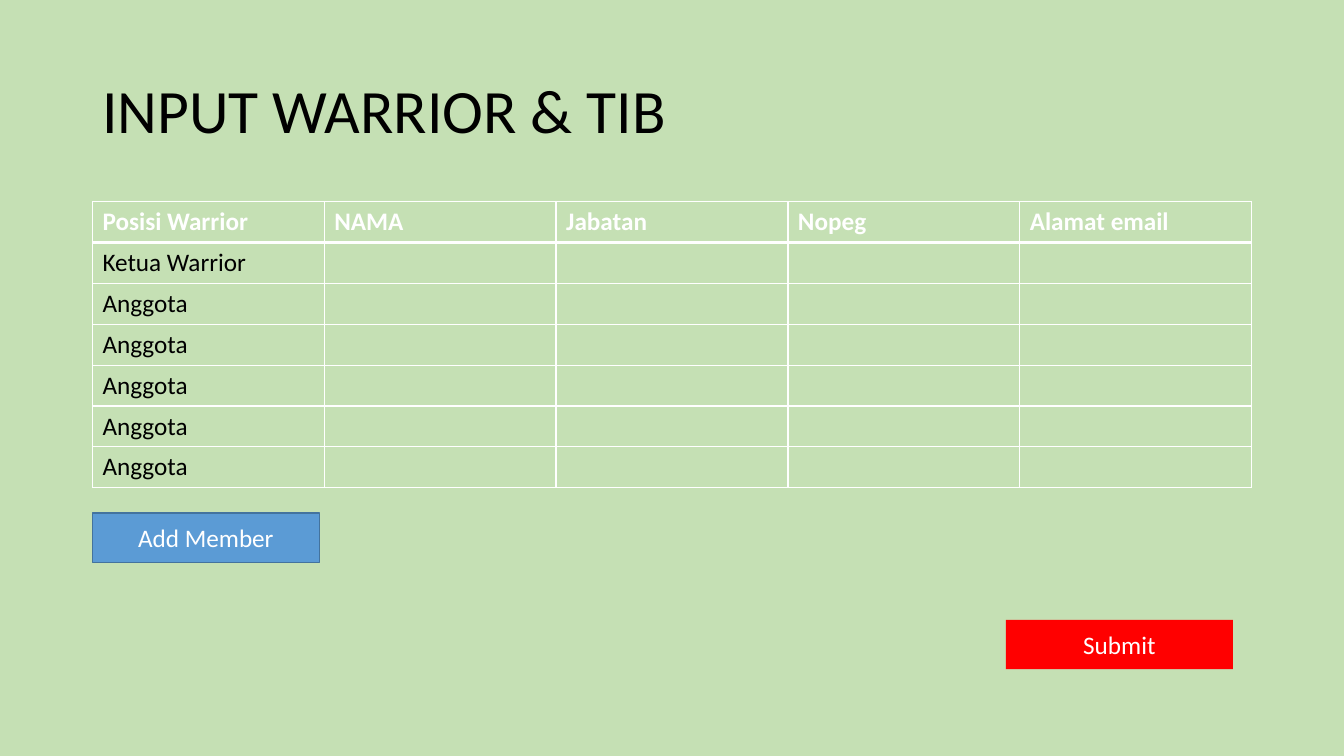
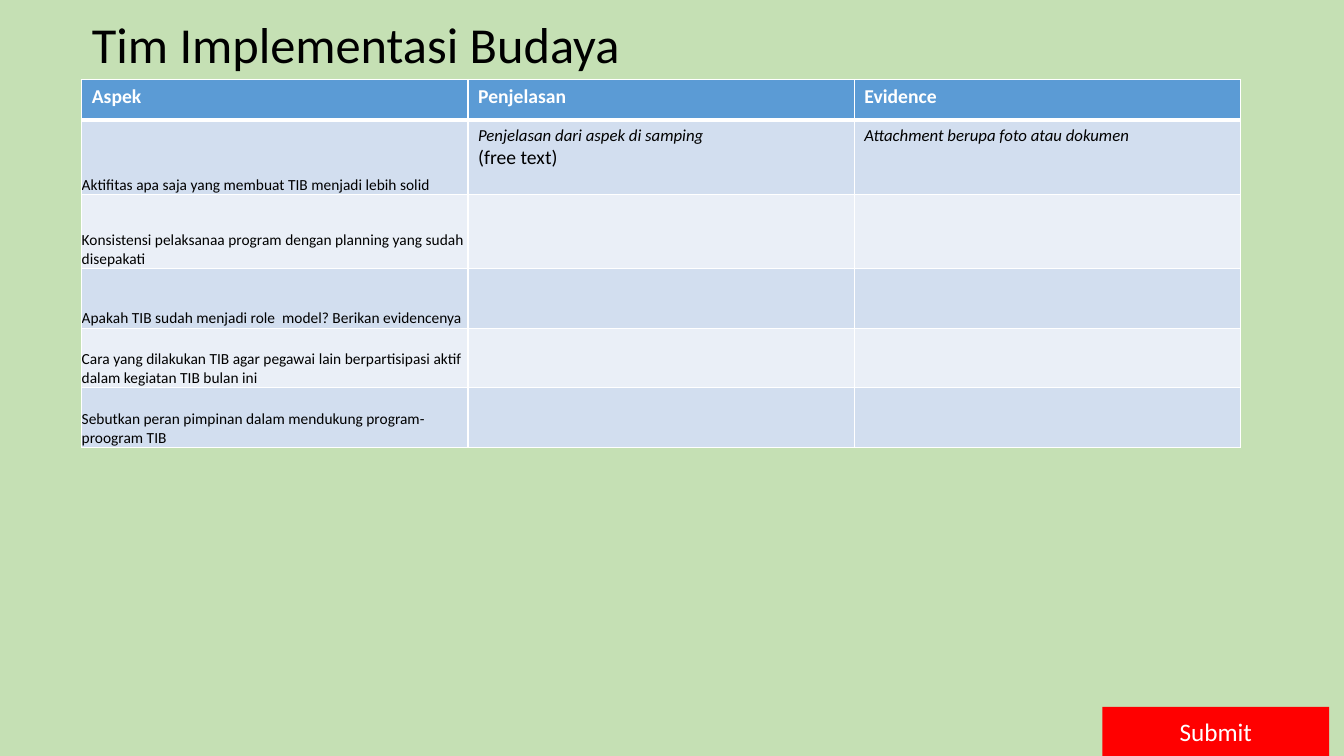
from lxml import etree
from pptx import Presentation
from pptx import util as u
from pptx.dml.color import RGBColor
from pptx.enum import shapes, text
from pptx.oxml.ns import qn

COLORS = {
    "page": "C5E0B4", "blue": "5B9BD5", "outline": "43739E", "red": "FF0000",
    "band_dark": "D2DEEF", "band_light": "EAEFF7", "white": "FFFFFF", "black": "000000",
}
FONT = "Calibri"


def write(para, words, color, **formats):
    span = para.add_run()
    span.text = words
    span.font.name = FONT
    span.font.color.rgb = RGBColor.from_string(COLORS[color])
    for name, value in formats.items():
        setattr(span.font, name, value)


def add_borders(cell, top, bottom):
    for side, points in (("L", 1), ("R", 1), ("T", top), ("B", bottom)):
        line = etree.SubElement(cell._tc.get_or_add_tcPr(), qn(f"a:ln{side}"), w=str(u.Pt(points)))
        fill = etree.SubElement(line, qn("a:solidFill"))
        etree.SubElement(fill, qn("a:srgbClr"), val=COLORS["white"])


aspects = [
    "Aktifitas apa saja yang membuat TIB menjadi lebih solid",
    "Konsistensi pelaksanaa program dengan planning yang sudah disepakati",
    "Apakah TIB sudah menjadi role  model? Berikan evidencenya",
    "Cara yang dilakukan TIB agar pegawai lain berpartisipasi aktif dalam kegiatan TIB bulan ini",
    "Sebutkan peran pimpinan dalam mendukung program-proogram TIB",
]
hint = {"size": u.Pt(12), "italic": True}

pages = [
    {
        "title": "INPUT WARRIOR & TIB", "title_size": 44, "left": 2.33,
        "title_top": 1.01, "title_height": 3.68, "table_top": 5.08,
        "headers": ["Posisi Warrior", "NAMA", "Jabatan", "Nopeg", "Alamat email"],
        "header_size": 18, "header_fill": None, "bands": [None],
        "labels": ["Ketua Warrior"] + ["Anggota"] * 5, "label_size": 18, "flush": False,
        "heights": [1.03] * 7, "hints": {},
        "buttons": [("Add Member", 2.33, 12.93, "blue", "outline"),
                    ("Submit", 25.35, 15.62, "red", None)],
    },
    {
        "title": "Tim Implementasi Budaya", "title_size": 36, "left": 2.06,
        "title_top": 0, "title_height": 2.36, "table_top": 2.0,
        "headers": ["Aspek", "Penjelasan", "Evidence"],
        "header_size": 14, "header_fill": "blue", "bands": ["band_dark", "band_light"],
        "labels": aspects, "label_size": 11, "flush": True,
        "heights": [1.03, 1.87, 1.87, 1.5, 1.5, 1.5],
        "hints": {
            (1, 1): [("Penjelasan dari aspek di samping", hint),
                     ("(free text)", {"size": u.Pt(14)})],
            (1, 2): [("Attachment berupa foto atau dokumen", hint)],
        },
        "buttons": [("Submit", 27.78, 17.81, "red", None)],
    },
]

deck = Presentation()
deck.slide_width, deck.slide_height = u.Cm(33.87), u.Cm(19.05)
background = deck.slide_master.background.fill
background.solid()
background.fore_color.rgb = RGBColor.from_string(COLORS["page"])
content_width = 29.21

for spec_page in pages:
    page = deck.slides.add_slide(deck.slide_layouts[5])
    left = u.Cm(spec_page["left"])

    title = page.shapes.title
    title.left, title.top = left, u.Cm(spec_page["title_top"])
    title.width, title.height = u.Cm(content_width), u.Cm(spec_page["title_height"])
    title.text_frame.vertical_anchor = text.MSO_ANCHOR.MIDDLE
    para = title.text_frame.paragraphs[0]
    para.alignment = text.PP_ALIGN.LEFT
    para.line_spacing = 0.9
    write(para, spec_page["title"], "black", size=u.Pt(spec_page["title_size"]))

    headers, heights = spec_page["headers"], spec_page["heights"]
    table = page.shapes.add_table(
        len(heights), len(headers), left, u.Cm(spec_page["table_top"]),
        u.Cm(content_width), u.Cm(sum(heights))).table
    table.horz_banding = False
    for row, height in zip(table.rows, heights):
        row.height = u.Cm(height)

    for r in range(len(heights)):
        for c, header in enumerate(headers):
            cell = table.cell(r, c)
            add_borders(cell, 3 if r == 1 else 1, 3 if r == 0 else 1)
            bands = spec_page["bands"]
            fill = bands[(r - 1) % len(bands)] if r else spec_page["header_fill"]
            if fill:
                cell.fill.solid()
                cell.fill.fore_color.rgb = RGBColor.from_string(COLORS[fill])
            else:
                cell.fill.background()

            para = cell.text_frame.paragraphs[0]
            if r == 0:
                write(para, header, "white", size=u.Pt(spec_page["header_size"]), bold=True)
            elif c == 0:
                write(para, spec_page["labels"][r - 1], "black",
                      size=u.Pt(spec_page["label_size"]), bold=False)
                if spec_page["flush"]:
                    cell.vertical_anchor = text.MSO_ANCHOR.BOTTOM
                    for side in ("left", "right", "top", "bottom"):
                        setattr(cell, f"margin_{side}", 0)
            for i, (words, formats) in enumerate(spec_page["hints"].get((r, c), [])):
                line = cell.text_frame.add_paragraph() if i else para
                write(line, words, "black", **formats)

    for label, x, y, fill, outline in spec_page["buttons"]:
        box = page.shapes.add_shape(
            shapes.MSO_SHAPE.RECTANGLE, u.Cm(x), u.Cm(y), u.Cm(5.72), u.Cm(1.24))
        box.shadow.inherit = False
        box.fill.solid()
        box.fill.fore_color.rgb = RGBColor.from_string(COLORS[fill])
        if outline:
            box.line.color.rgb = RGBColor.from_string(COLORS[outline])
            box.line.width = u.Pt(1)
        else:
            box.line.fill.background()
        box.text_frame.vertical_anchor = text.MSO_ANCHOR.MIDDLE
        para = box.text_frame.paragraphs[0]
        para.alignment = text.PP_ALIGN.CENTER
        write(para, label, "white", size=u.Pt(18))

deck.save("out.pptx")
